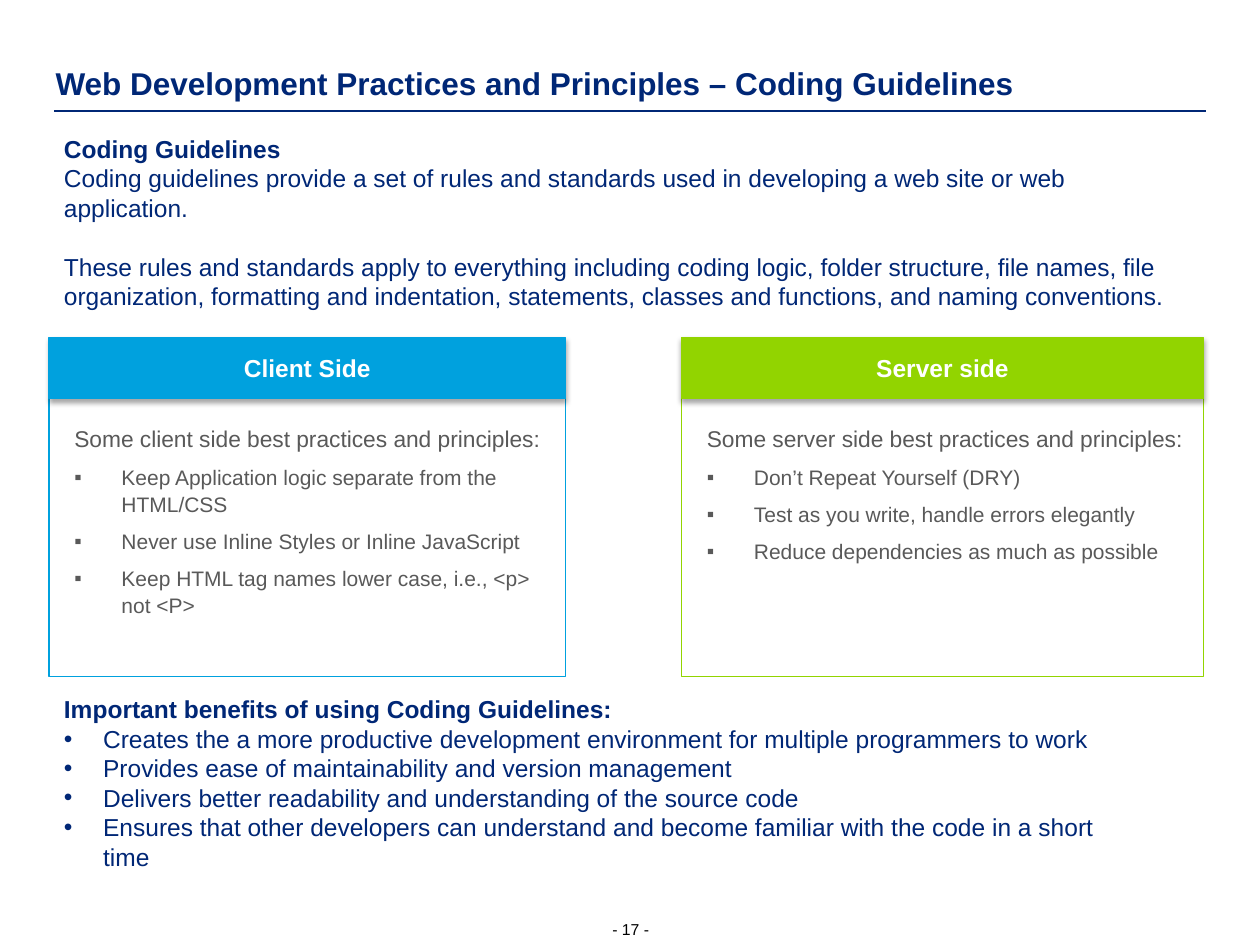
from dataclasses import dataclass

from lxml import etree
from pptx import Presentation, util as u
from pptx.dml.color import RGBColor
from pptx.enum import shapes, text
from pptx.oxml.ns import qn


@dataclass(frozen=True)
class Theme:
    font: str = "Arial"
    navy: str = "002776"
    blue: str = "00A1DE"
    green: str = "92D400"
    grey: str = "595959"
    white: str = "FFFFFF"
    black: str = "000000"
    title: int = 18
    body: int = 14
    card_lead: int = 13
    card_item: int = 12
    footer: int = 9


@dataclass(frozen=True)
class Box:
    left: float
    top: float
    width: float
    height: float

    def lengths(self) -> list:
        return [u.Cm(v) for v in (self.left, self.top, self.width, self.height)]


@dataclass(frozen=True)
class Para:
    words: str
    size: int
    color: str
    bold: bool = False
    bullet: str = ""
    indent: float = 0
    align: text.PP_ALIGN = text.PP_ALIGN.LEFT
    spacing: float = 1.0
    before: float = 0
    after: float = 0


@dataclass(frozen=True)
class Card:
    heading: str
    lead: str
    items: tuple
    left: float
    width: float
    color: str


THEME = Theme()
LOOSE = 1.06
HEADER_TOP, HEADER_HEIGHT, CARD_HEIGHT = 6.81, 1.22, 5.61

CARDS = (
    Card("Client Side", "Some client side best practices and principles:",
         ("Keep Application logic separate from the HTML/CSS",
          "Never use Inline Styles or Inline JavaScript",
          "Keep HTML tag names lower case, i.e., <p> not <P>"),
         0.99, 10.41, THEME.blue),
    Card("Server side", "Some server side best practices and principles:",
         ("Don’t Repeat Yourself (DRY)",
          "Test as you write, handle errors elegantly",
          "Reduce dependencies as much as possible"),
         13.74, 10.52, THEME.green),
)

BENEFITS = (
    "Creates the a more productive development environment for multiple programmers to work",
    "Provides ease of maintainability and version management",
    "Delivers better readability and understanding of the source code",
    "Ensures that other developers can understand and become familiar with the code in a short time",
)


def write(frame, paras: list, anchor=text.MSO_ANCHOR.TOP,
          insets: tuple = (0.25, 0.13, 0.25, 0.13), wrap: bool = True) -> None:
    """Fill a text frame; insets run left, top, right, bottom."""
    frame.word_wrap = wrap
    frame.vertical_anchor = anchor
    (frame.margin_left, frame.margin_top,
     frame.margin_right, frame.margin_bottom) = [u.Cm(v) for v in insets]
    for index, para in enumerate(paras):
        line = frame.add_paragraph() if index else frame.paragraphs[0]
        line.text = para.words
        line.alignment = para.align
        line.line_spacing = para.spacing
        line.space_after = u.Pt(para.after)
        if para.before:
            line.space_before = u.Pt(para.before)
        if para.bullet:
            props = line._p.get_or_add_pPr()
            props.set("marL", str(u.Cm(para.indent)))
            props.set("indent", str(-u.Cm(para.indent)))
            etree.SubElement(props, qn("a:buFont"), typeface=THEME.font)
            etree.SubElement(props, qn("a:buChar"), char=para.bullet)
        line.font.name = THEME.font
        line.font.size = u.Pt(para.size)
        line.font.bold = para.bold
        line.font.color.rgb = RGBColor.from_string(para.color)


def add_text(slide, box: Box, paras: list, **layout) -> None:
    write(slide.shapes.add_textbox(*box.lengths()).text_frame, paras, **layout)


def add_panel(slide, box: Box, fill: str, border: str):
    panel = slide.shapes.add_shape(shapes.MSO_SHAPE.RECTANGLE, *box.lengths())
    panel.shadow.inherit = False
    panel.fill.solid()
    panel.fill.fore_color.rgb = RGBColor.from_string(fill)
    panel.line.color.rgb = RGBColor.from_string(border)
    panel.line.width = u.Pt(0.75)
    return panel


def set_alpha(color, percent: int) -> None:
    etree.SubElement(color, qn("a:alpha"), val=str(percent * 1000))


def add_drop_shadow(panel) -> None:
    effects = panel._element.spPr.find(qn("a:effectLst"))
    shadow = etree.SubElement(
        effects, qn("a:outerShdw"), blurRad=str(u.Pt(3.1)), dist=str(u.Pt(1.8)),
        dir=str(90 * 60000), rotWithShape="0")
    set_alpha(etree.SubElement(shadow, qn("a:srgbClr"), val=THEME.black), 35)


def add_card(slide, card: Card) -> None:
    body_box = Box(card.left, HEADER_TOP + HEADER_HEIGHT, card.width, CARD_HEIGHT)
    body = add_panel(slide, body_box, THEME.white, card.color)
    set_alpha(body._element.spPr.find(qn("a:solidFill"))[0], 80)
    lead = Para(card.lead, THEME.card_lead, THEME.grey, spacing=LOOSE, after=6)
    items = [Para(item, THEME.card_item, THEME.grey, bullet="▪", indent=0.95,
                  spacing=LOOSE, after=6) for item in card.items]
    write(body.text_frame, [lead, *items], insets=(0.51, 0.51, 0.25, 0.25))

    header_box = Box(card.left, HEADER_TOP, card.width, HEADER_HEIGHT)
    header = add_panel(slide, header_box, card.color, card.color)
    add_drop_shadow(header)
    write(header.text_frame,
          [Para(card.heading, THEME.body, THEME.white, bold=True,
                align=text.PP_ALIGN.CENTER)],
          anchor=text.MSO_ANCHOR.MIDDLE)


def add_rule(slide, left: float, right: float, top: float) -> None:
    rule = slide.shapes.add_connector(
        shapes.MSO_CONNECTOR.STRAIGHT, u.Cm(left), u.Cm(top), u.Cm(right), u.Cm(top))
    rule.line.color.rgb = RGBColor.from_string(THEME.navy)
    rule.line.width = u.Pt(1.5)
    etree.SubElement(rule._element.spPr, qn("a:effectLst"))


def main() -> None:
    deck = Presentation()
    deck.slide_width, deck.slide_height = u.Cm(25.4), u.Cm(19.05)
    slide = deck.slides.add_slide(deck.slide_layouts[6])

    # Page number, title and rule
    add_text(slide, Box(12.32, 18.52, 0.79, 0.41),
             [Para("- 17 -", THEME.footer, THEME.black, spacing=LOOSE,
                   align=text.PP_ALIGN.CENTER)],
             anchor=text.MSO_ANCHOR.BOTTOM, insets=(0, 0, 0, 0), wrap=False)
    add_rule(slide, 1.09, 24.31, 2.24)
    add_text(slide, Box(1.12, 1.24, 23.19, 0.81),
             [Para("Web Development Practices and Principles – Coding Guidelines",
                   THEME.title, THEME.navy, bold=True, spacing=LOOSE)],
             anchor=text.MSO_ANCHOR.BOTTOM, insets=(0, 0, 0, 0))

    # Client and server cards
    for card in CARDS:
        add_card(slide, card)

    # Benefits
    benefits = [Para(item, THEME.body, THEME.navy, bullet="•", indent=0.79)
                for item in BENEFITS]
    add_text(slide, Box(1.04, 13.87, 21.67, 3.84),
             [Para("Important benefits of using Coding Guidelines:",
                   THEME.body, THEME.navy, bold=True), *benefits])

    # Introduction
    add_text(slide, Box(1.04, 2.57, 22.83, 3.84), [
        Para("Coding Guidelines", THEME.body, THEME.navy, bold=True),
        Para("Coding guidelines provide a set of rules and standards used in "
             "developing a web site or web application.", THEME.body, THEME.navy),
        Para("These rules and standards apply to everything including coding logic, "
             "folder structure, file names, file organization, formatting and "
             "indentation, statements, classes and functions, and naming conventions.",
             THEME.body, THEME.navy, before=16.8)])

    deck.save("out.pptx")


if __name__ == "__main__":
    main()
